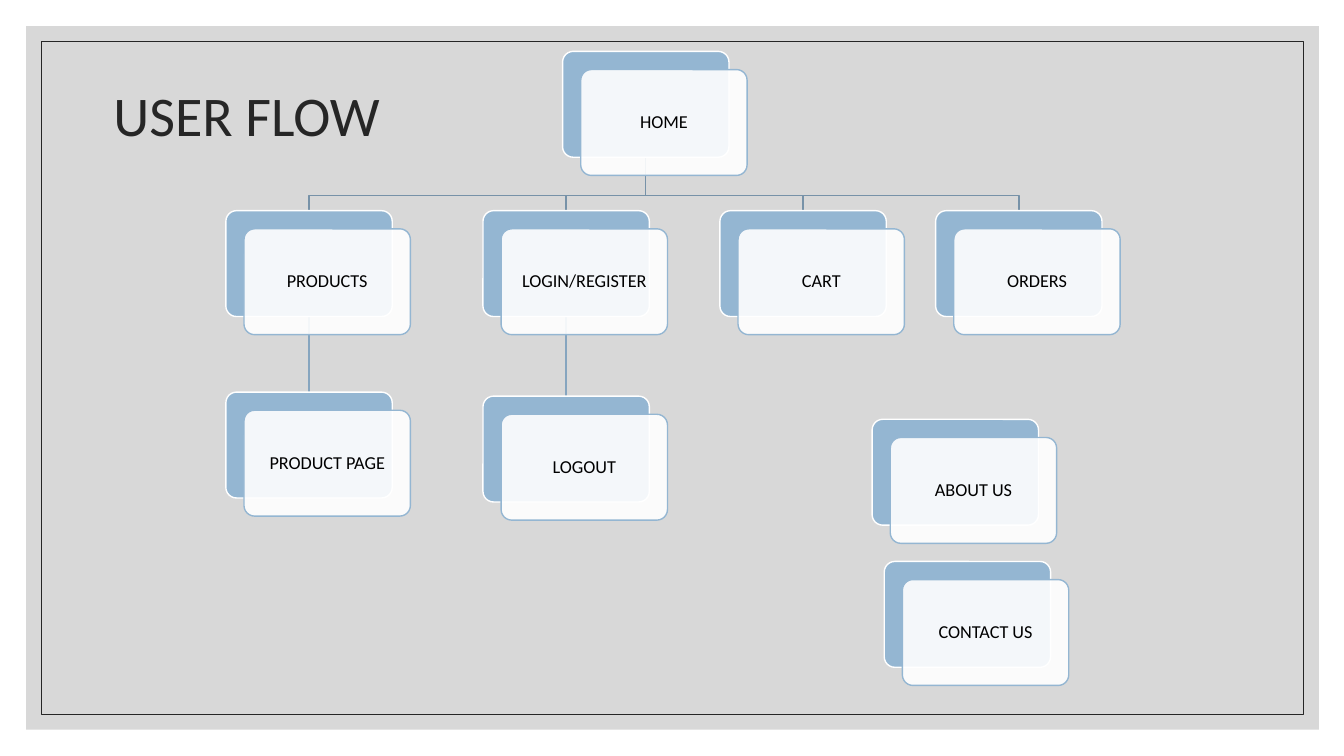
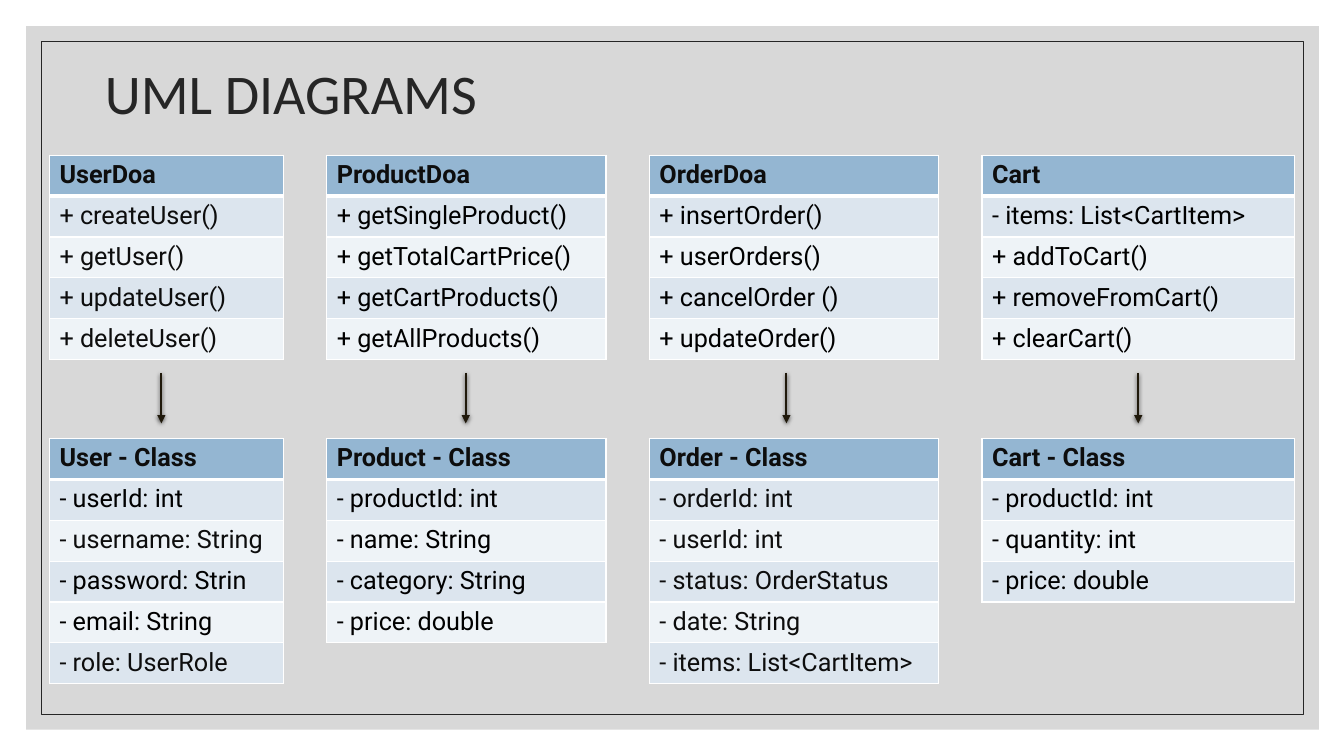
import lxml.etree
import pptx
import pptx.dml.color
import pptx.enum.shapes
import pptx.enum.text
import pptx.oxml.ns
import pptx.util

Inches = pptx.util.Inches
Pt = pptx.util.Pt
qn = pptx.oxml.ns.qn
SHAPE = pptx.enum.shapes.MSO_SHAPE
STRAIGHT = pptx.enum.shapes.MSO_CONNECTOR.STRAIGHT
ALIGN = pptx.enum.text.PP_ALIGN
MIDDLE = pptx.enum.text.MSO_ANCHOR.MIDDLE

COLORS = {
    "panel": "BFBFBF", "title": "262626", "white": "FFFFFF", "black": "000000",
    "soft_black": "0D0D0D", "blue": "94B6D2", "branch": "7792A8", "stem": "86A5BF",
    "band_dark": "DCE5EE", "band_light": "EEF3F7", "arrow": "20190B",
}
CARD_WIDTH, CARD_HEIGHT, CARD_OFFSET = 1.65, 1.05, 0.18
BRANCH_Y = 1.94
ROW_HEIGHT = Pt(29.2)
CARDS = {
    "HOME": (5.58, 0.51),
    "PRODUCTS": (2.24, 2.09),
    "PRODUCT PAGE": (2.24, 3.89),
    "LOGIN/REGISTER": (4.79, 2.09),
    "LOGOUT": (4.79, 3.93),
    "CART": (7.14, 2.09),
    "ORDERS": (9.28, 2.09),
    "CONTACT US": (8.77, 5.57),
    "ABOUT US": (8.65, 4.16),
}
BRANCHES = ["PRODUCTS", "LOGIN/REGISTER", "CART", "ORDERS"]
STEMS = [("PRODUCTS", "PRODUCT PAGE"), ("LOGIN/REGISTER", "LOGOUT")]
UML_COLUMNS = [
    {"left": 0.49, "width": 2.32, "arrow": 1.6,
     "access": ("UserDoa", ["+ createUser()", "+ getUser()", "+ updateUser()",
                            "+ deleteUser()"], {1, 2, 3, 4}),
     "model": ("User - Class", ["- userId: int", "- username: String", "- password: Strin",
                                "- email: String", "- role: UserRole"], {2, 5})},
    {"left": 3.24, "width": 2.77, "arrow": 4.62,
     "access": ("ProductDoa", ["+ getSingleProduct()", "+ getTotalCartPrice()",
                               "+ getCartProducts()", "+ getAllProducts()"], set()),
     "model": ("Product - Class", ["- productId: int", "- name: String",
                                   "- category: String", "- price: double"], set())},
    {"left": 6.44, "width": 2.87, "arrow": 7.8,
     "access": ("OrderDoa", ["+ insertOrder()", "+ userOrders()", "+ cancelOrder ()",
                             "+ updateOrder()"], set()),
     "model": ("Order - Class", ["- orderId: int", "- userId: int", "- status: OrderStatus",
                                 "- date: String", "- items: List<CartItem>"],
               {1, 2, 3, 4, 5})},
    {"left": 9.74, "width": 3.1, "arrow": 11.29,
     "access": ("Cart", ["- items: List<CartItem>", "+ addToCart()", "+ removeFromCart()",
                         "+ clearCart()"], set()),
     "model": ("Cart - Class", ["- productId: int", "- quantity: int",
                                "- price: double"], set())},
]


def rgb(name):
    return pptx.dml.color.RGBColor.from_string(COLORS[name])


def write_text(frame, text, size, color, font="Calibri", bold=False,
               align=ALIGN.LEFT, spacing=None):
    paragraph = frame.paragraphs[0]
    paragraph.alignment = align
    paragraph.line_spacing = spacing
    run = paragraph.add_run()
    run.text = text
    run.font.name = font
    run.font.size = Pt(size)
    run.font.bold = bold
    run.font.color.rgb = rgb(color)


def set_line(line, color, width):
    line.color.rgb = rgb(color)
    line.width = Pt(width)


def add_box(slide, kind, box, fill=None, opacity=100, line=None, line_width=1):
    shape = slide.shapes.add_shape(kind, *map(Inches, box))
    shape.shadow.inherit = False
    if fill:
        shape.fill.solid()
        shape.fill.fore_color.rgb = rgb(fill)
        if opacity < 100:
            color = shape.element.spPr.find(qn("a:solidFill"))[0]
            lxml.etree.SubElement(color, qn("a:alpha"), val=str(opacity * 1000))
    else:
        shape.fill.background()
    if line:
        set_line(shape.line, line, line_width)
    else:
        shape.line.fill.background()
    return shape


def add_layout_frame(slide):
    panel = add_box(slide, SHAPE.RECTANGLE, (0.26, 0.26, 12.82, 6.98), "panel", 60)
    border = add_box(slide, SHAPE.RECTANGLE, (0.41, 0.41, 12.52, 6.68),
                     line="title", line_width=0.5)
    for order, part in enumerate((panel, border)):
        part.element.nvSpPr.cNvPr.set("id", str(101 + order))
        slide.slide_layout.shapes.element.insert(2 + order, part.element)


def add_title(slide, text, box, align=ALIGN.LEFT):
    title = slide.shapes.title
    title.left, title.top, title.width, title.height = map(Inches, box)
    title.text_frame.word_wrap = True
    title.text_frame.auto_size = pptx.enum.text.MSO_AUTO_SIZE.NONE
    title.text_frame.vertical_anchor = MIDDLE
    write_text(title.text_frame, text, 40, "title", align=align, spacing=0.9)


def add_card(slide, label, left, top):
    back = add_box(slide, SHAPE.ROUNDED_RECTANGLE, (left, top, CARD_WIDTH, CARD_HEIGHT),
                   "blue", line="white")
    front = add_box(slide, SHAPE.ROUNDED_RECTANGLE,
                    (left + CARD_OFFSET, top + CARD_OFFSET, CARD_WIDTH, CARD_HEIGHT),
                    "white", 90, "blue")
    for card in (back, front):
        card.adjustments[0] = 0.1
    frame = front.text_frame
    frame.word_wrap = True
    frame.vertical_anchor = MIDDLE
    frame.margin_left = frame.margin_right = Inches(0.08)
    write_text(frame, label, 13, "black", align=ALIGN.CENTER, spacing=0.9)
    return back


def add_branch(slide, parent, child):
    start_x = parent.left + parent.width // 2
    end_x = child.left + child.width // 2
    bend_y = Inches(BRANCH_Y)
    builder = slide.shapes.build_freeform(start_x, parent.top + parent.height)
    builder.add_line_segments([(start_x, bend_y), (end_x, bend_y), (end_x, child.top)],
                              close=False)
    branch = builder.convert_to_shape()
    branch.shadow.inherit = False
    branch.fill.background()
    set_line(branch.line, "branch", 1)
    return branch


def add_line(slide, start, end, color, width):
    line = slide.shapes.add_connector(STRAIGHT, *map(Inches, start + end))
    set_line(line.line, color, width)
    effects = lxml.etree.SubElement(line.element.spPr, qn("a:effectLst"))
    return line, effects


def add_stem(slide, parent, child):
    stem, _ = add_line(slide, (0, 0), (0, 0), "stem", 1)
    stem.begin_connect(parent, 2)
    stem.end_connect(child, 0)
    return stem


def add_arrow(slide, x, top, bottom):
    arrow, effects = add_line(slide, (x, top), (x, bottom), "arrow", 1.5)
    lxml.etree.SubElement(arrow.line._get_or_add_ln(), qn("a:tailEnd"), type="triangle")
    shadow = lxml.etree.SubElement(effects, qn("a:outerShdw"), blurRad=str(Pt(3)),
                                   dist=str(Pt(1)), dir="5400000", rotWithShape="0")
    color = lxml.etree.SubElement(shadow, qn("a:srgbClr"), val=COLORS["black"])
    lxml.etree.SubElement(color, qn("a:alpha"), val="63000")


def set_borders(cell, **widths):
    properties = cell._tc.get_or_add_tcPr()
    for side in "LRTB":
        border = lxml.etree.SubElement(properties, qn("a:ln" + side),
                                       w=str(Pt(widths.get(side, 1))))
        fill = lxml.etree.SubElement(border, qn("a:solidFill"))
        lxml.etree.SubElement(fill, qn("a:srgbClr"), val=COLORS["white"])


def add_class_table(slide, left, top, width, name, members, soft_rows):
    rows = [name] + members
    table = slide.shapes.add_table(len(rows), 1, Inches(left), Inches(top), Inches(width),
                                   ROW_HEIGHT * len(rows)).table
    table.horz_banding = False
    for index, text in enumerate(rows):
        table.rows[index].height = ROW_HEIGHT
        cell = table.cell(index, 0)
        header = index == 0
        set_borders(cell, B=3 if header else 1, T=3 if index == 1 else 1)
        band = "band_dark" if index % 2 else "band_light"
        cell.fill.solid()
        cell.fill.fore_color.rgb = rgb("blue" if header else band)
        color = "soft_black" if header or index in soft_rows else "black"
        write_text(cell.text_frame, text, 18, color, font="Roboto", bold=header)


def build_user_flow(slide):
    add_title(slide, "USER FLOW", (0.46, 0.42, 3.97, 1.5), ALIGN.CENTER)
    cards = {label: add_card(slide, label, *place) for label, place in CARDS.items()}
    links = [add_branch(slide, cards["HOME"], cards[label]) for label in BRANCHES]
    links += [add_stem(slide, cards[parent], cards[child]) for parent, child in STEMS]
    for link in links:
        slide.shapes.element.insert(2, link.element)


def build_uml_diagrams(slide):
    add_title(slide, "UML DIAGRAMS", (0.94, 0.21, 11, 1.5))
    for column in UML_COLUMNS:
        for part, top in (("access", 1.54), ("model", 4.35)):
            add_class_table(slide, column["left"], top, column["width"], *column[part])
        add_arrow(slide, column["arrow"], 3.7, 4.2)


def main():
    deck = pptx.Presentation()
    deck.slide_width, deck.slide_height = Inches(13.33), Inches(7.5)
    title_only = deck.slide_layouts[5]
    user_flow = deck.slides.add_slide(title_only)
    add_layout_frame(user_flow)
    build_user_flow(user_flow)
    build_uml_diagrams(deck.slides.add_slide(title_only))
    deck.save("out.pptx")


if __name__ == "__main__":
    main()
